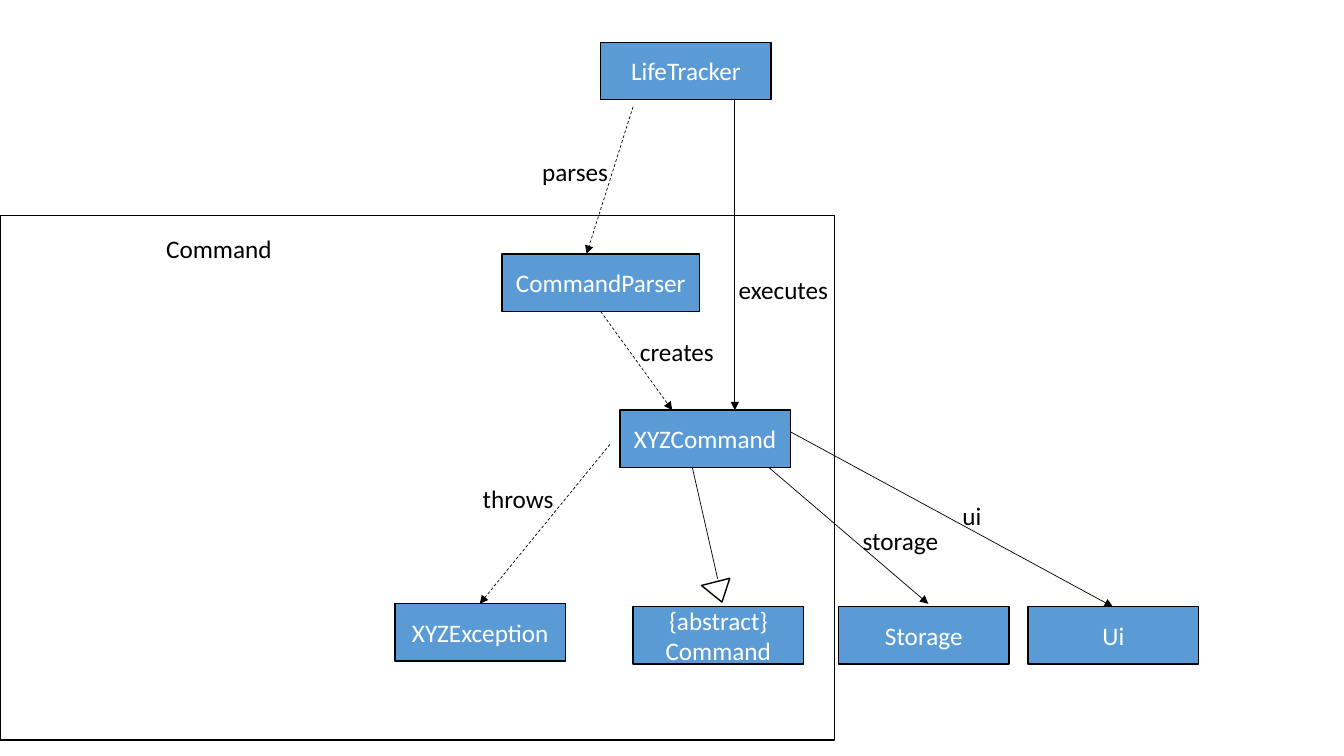
from lxml import etree
from pptx import Presentation
from pptx.dml.color import RGBColor
from pptx.enum.dml import MSO_LINE
from pptx.enum.shapes import MSO_CONNECTOR, MSO_SHAPE
from pptx.enum.text import MSO_ANCHOR, MSO_AUTO_SIZE, PP_ALIGN
from pptx.oxml.ns import qn
from pptx.util import Pt

RECT, TRIANGLE = MSO_SHAPE.RECTANGLE, MSO_SHAPE.ISOSCELES_TRIANGLE
STRAIGHT, DASH = MSO_CONNECTOR.STRAIGHT, MSO_LINE.DASH
LEFT, CENTER = PP_ALIGN.LEFT, PP_ALIGN.CENTER
TOP, MIDDLE = MSO_ANCHOR.TOP, MSO_ANCHOR.MIDDLE
FIT, NO_FIT = MSO_AUTO_SIZE.SHAPE_TO_FIT_TEXT, MSO_AUTO_SIZE.NONE
BOX_W, BOX_H, LABEL_H, ROW_Y = 121.7, 41, 29, 433.4


def rgb(value):
    return RGBColor.from_string(value)


def write(tf, text, color, font="Calibri", size=18, align=LEFT, anchor=TOP,
          wrap=True, fit=NO_FIT):
    tf.word_wrap, tf.auto_size, tf.vertical_anchor = wrap, fit, anchor
    for i, line in enumerate(text.split("\n")):
        p = tf.paragraphs[0] if i == 0 else tf.add_paragraph()
        p.alignment = align
        r = p.add_run()
        r.text = line
        r.font.name, r.font.size = font, Pt(size)
        r.font.color.rgb = rgb(color)


class Diagram:
    ink, paper, accent = "000000", "FFFFFF", "5B9BD5"

    def __init__(self, slide):
        self.shapes = slide.shapes

    def shape(self, kind, x, y, w, h, fill):
        sp = self.shapes.add_shape(kind, Pt(x), Pt(y), Pt(w), Pt(h))
        sp.shadow.inherit = False
        sp.fill.solid()
        sp.fill.fore_color.rgb = rgb(fill)
        sp.line.color.rgb = rgb(self.ink)
        sp.line.width = Pt(1)
        return sp

    def box(self, text, x, y, w=BOX_W):
        sp = self.shape(RECT, x, y, w, BOX_H, self.accent)
        write(sp.text_frame, text, self.paper, align=CENTER, anchor=MIDDLE)

    def label(self, text, x, y, w):
        sp = self.shapes.add_textbox(Pt(x), Pt(y), Pt(w), Pt(LABEL_H))
        write(sp.text_frame, text, self.ink, wrap=False, fit=FIT)

    def line(self, x1, y1, x2, y2, dashed=False, arrow=True):
        cx = self.shapes.add_connector(STRAIGHT, Pt(x1), Pt(y1), Pt(x2), Pt(y2))
        cx.line.color.rgb = rgb(self.ink)
        cx.line.width = Pt(0.5)
        if dashed:
            cx.line.dash_style = DASH
        if arrow:
            etree.SubElement(cx.line._get_or_add_ln(), qn("a:tailEnd"), type="triangle")
        etree.SubElement(cx._element.spPr, qn("a:effectLst"))

    def inheritance_head(self, x, y, w, h, rotation, apex):
        sp = self.shape(TRIANGLE, x, y, w, h, self.paper)
        sp.adjustments[0] = apex
        sp.rotation = rotation


prs = Presentation()
prs.slide_width, prs.slide_height = Pt(960), Pt(540)
d = Diagram(prs.slides.add_slide(prs.slide_layouts[6]))

d.shape(RECT, 0, 154.1, 596.2, 374.4, d.paper)

dependencies = [
    (452.2, 76.3, 419, 181.4),
    (429.1, 222.5, 480.2, 293),
    (435.6, 317.5, 342.7, 431.3),
]
associations = [
    (524.9, 70.6, 524.9, 293),
    (535, 321.8, 663.1, 431.3),
    (552.2, 301.7, 794.9, 433.4),
]
for ends in dependencies:
    d.line(*ends, dashed=True)
for ends in associations:
    d.line(*ends)
d.line(491.8, 321.8, 512.6, 413.3, arrow=False)
d.inheritance_head(502.6, 415.4, 20.9, 15.1, rotation=165.7, apex=0.46)

d.box("CommandParser", 358.6, 181.4, w=141.1)
for name, x, y in [
    ("LifeTracker", 429.1, 30.2),
    ("XYZCommand", 442.8, 293),
    ("XYZException", 282.2, 431.3),
    ("{abstract}\nCommand", 452.2, ROW_Y),
    ("Storage", 599, ROW_Y),
    ("Ui", 734.4, ROW_Y),
]:
    d.box(name, x, y)

for text, x, y, w in [
    ("Command", 111.6, 163.4, 90.7),
    ("parses", 380.2, 108, 61.9),
    ("executes", 520.6, 192.2, 79.2),
    ("creates", 450, 236.9, 67.7),
    ("throws", 337.7, 342, 65.5),
    ("storage", 609.1, 371.5, 69.1),
    ("ui", 680.4, 353.5, 28.1),
]:
    d.label(text, x, y, w)

prs.save("out.pptx")
